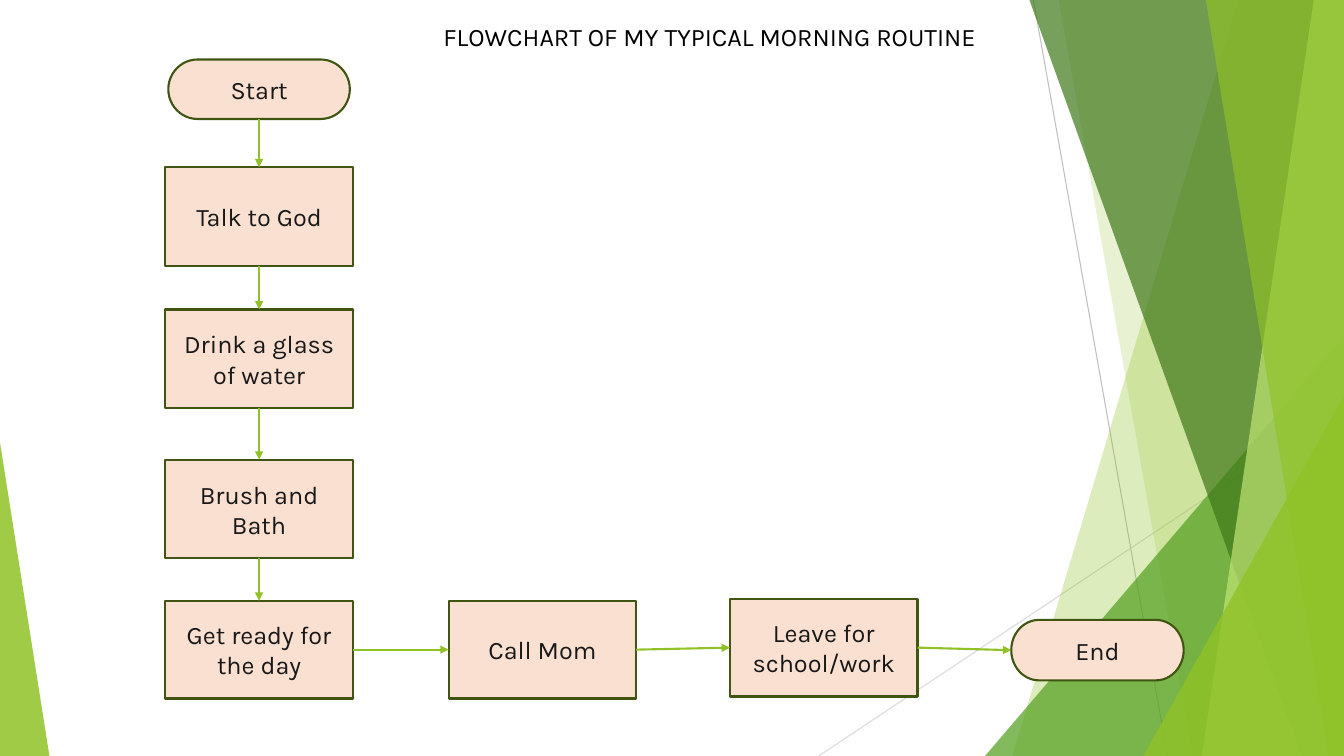
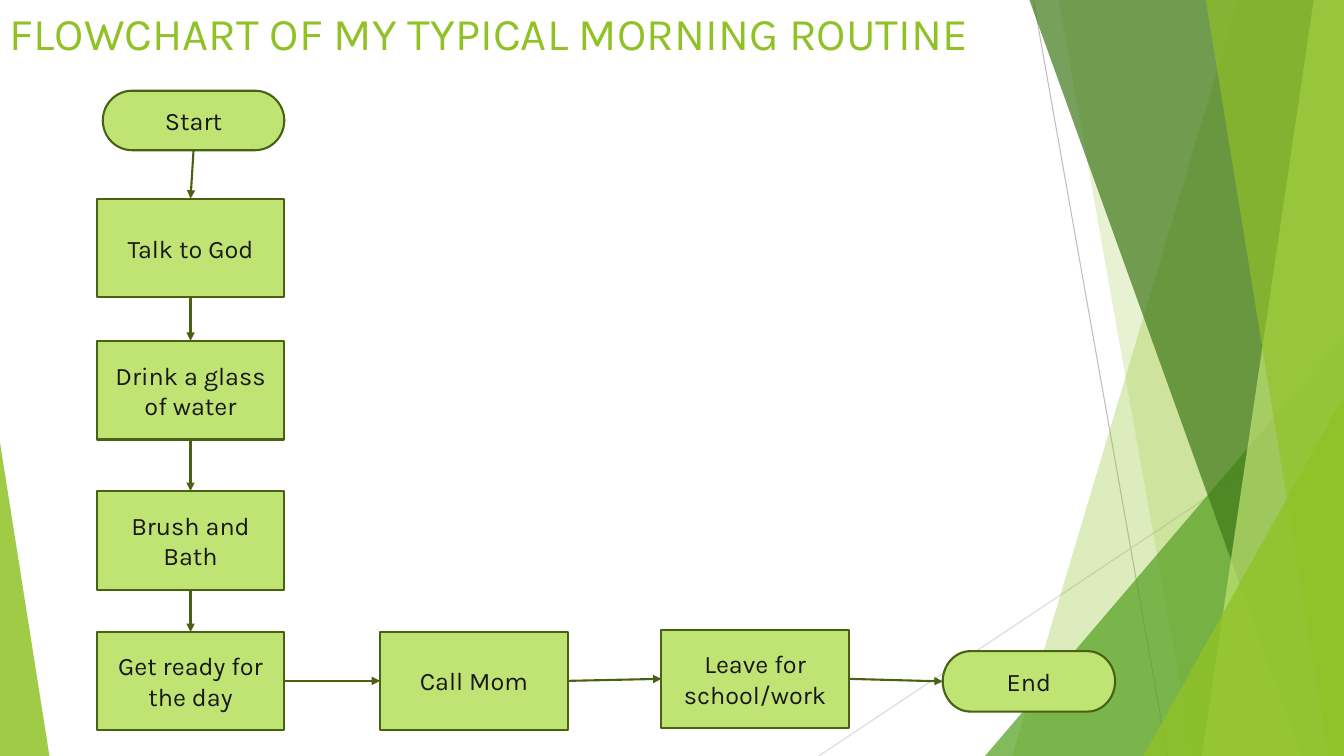
from itertools import pairwise

from lxml.etree import SubElement
from pptx import Presentation
from pptx.dml.color import RGBColor
from pptx.enum.shapes import MSO_CONNECTOR, MSO_SHAPE
from pptx.enum.text import MSO_ANCHOR, PP_ALIGN
from pptx.oxml.ns import qn
from pptx.util import Inches, Pt

# Shared look
WIDTH, HEIGHT = 13.33, 7.5
FONT = "Karla"
COLOURS = {
    "lime": "90C226", "green": "54A021", "forest": "3F7819", "pale": "C0E474",
    "grey": "BFBFBF", "light grey": "D9D9D9", "peach": "FAE0D1",
    "olive": "3F5511", "moss": "486113", "ink": "181818", "black": "000000",
}

# Content
TITLE = "FLOWCHART OF MY TYPICAL MORNING ROUTINE"
PROCESS = MSO_SHAPE.FLOWCHART_PROCESS
TERMINATOR = MSO_SHAPE.FLOWCHART_TERMINATOR
STEPS = [  # label, kind, left, top, width, height
    ("Start", TERMINATOR, 1.67, 0.59, 1.8, 0.59),
    ("Talk to God", PROCESS, 1.64, 1.66, 1.86, 0.98),
    ("Drink a glass of water", PROCESS, 1.64, 3.07, 1.86, 0.98),
    ("Brush and Bath", PROCESS, 1.64, 4.56, 1.86, 0.98),
    ("Get ready for the day", PROCESS, 1.64, 5.96, 1.86, 0.97),
    ("Call Mom", PROCESS, 4.45, 5.96, 1.86, 0.97),
    ("Leave for school/work", PROCESS, 7.24, 5.94, 1.86, 0.97),
    ("End", TERMINATOR, 10.03, 6.15, 1.71, 0.6),
]
SLIDES = [
    {"title_box": (4.3, 0.16, 5.89, 0.4), "title_size": 18, "title_colour": "black",
     "shift": (0, 0), "start_nudge": 0,
     "fill": "peach", "outline": "olive", "arrow": "lime"},
    {"title_box": (0, 0, 9.89, 0.62), "title_size": 32.4, "title_colour": "lime",
     "shift": (-0.68, 0.31), "start_nudge": 0.03,
     "fill": "pale", "outline": "moss", "arrow": "moss"},
]

# Backdrop: thin lines, then facets from back to front
RAYS = [((10.25, 0), (11.58, HEIGHT), "grey"),
        ((WIDTH, 4.03), (8.12, HEIGHT), "light grey")]
FACETS = [  # bands: x at top and bottom of the left edge; triangles: box and apex
    ("band", (12.28, 10.04), "lime", 30),
    ("band", (10.5, 11.83), "lime", 20),
    ("triangle", (9.77, 3.33, 3.56, 4.17, 1), "green", 72),
    ("band", (10.21, 12.91), "forest", 70),
    ("band", (13.03, 11.92), "pale", 70),
    ("band", (11.96, 13.18), "lime", 65),
    ("triangle", (11.34, 3.93, 1.99, 3.57, 1), "lime", 80),
    ("triangle", (0, 4.39, 0.49, 3.11, 0), "lime", 85),
]
BOTTOM, RIGHT, TOP, LEFT = 2, 3, 0, 1  # connection sites


def rgb(name):
    return RGBColor.from_string(COLOURS[name])


def inches(values):
    return [Inches(value) for value in values]


def paint(shape, colour):
    shape.shadow.inherit = False
    shape.fill.solid()
    shape.fill.fore_color.rgb = rgb(colour)


def write(frame, text, size, colour, align):
    frame.word_wrap = True
    paragraph = frame.paragraphs[0]
    paragraph.text = text
    paragraph.alignment = align
    paragraph.font.name = FONT
    paragraph.font.size = Pt(size)
    paragraph.font.color.rgb = rgb(colour)


def add_line(slide, start, end, colour, width):
    line = slide.shapes.add_connector(MSO_CONNECTOR.STRAIGHT, *inches(start + end))
    line.line.color.rgb = rgb(colour)
    line.line.width = Pt(width)
    SubElement(line.element.spPr, qn("a:effectLst"))
    return line


def add_backdrop(slide):
    for start, end, colour in RAYS:
        add_line(slide, start, end, colour, 0.75)
    for kind, geometry, colour, opacity in FACETS:
        if kind == "band":
            top_x, bottom_x = geometry
            outline = slide.shapes.build_freeform(Inches(top_x), 0)
            corners = [(WIDTH, 0), (WIDTH, HEIGHT), (bottom_x, HEIGHT)]
            outline.add_line_segments([inches(corner) for corner in corners])
            facet = outline.convert_to_shape()
        else:
            *box, apex = geometry
            facet = slide.shapes.add_shape(MSO_SHAPE.ISOSCELES_TRIANGLE, *inches(box))
            facet.adjustments[0] = apex
        paint(facet, colour)
        facet.line.fill.background()
        tint = facet.element.spPr.find(qn("a:solidFill")).find(qn("a:srgbClr"))
        SubElement(tint, qn("a:alpha"), val=str(opacity * 1000))


def add_title(slide, look):
    title = slide.shapes.add_textbox(*inches(look["title_box"]))
    write(title.text_frame, TITLE, look["title_size"], look["title_colour"], PP_ALIGN.LEFT)


def add_step(slide, step, look):
    label, kind, left, top, width, height = step
    dx, dy = look["shift"]
    if label == "Start":
        dx += look["start_nudge"]
    box = slide.shapes.add_shape(kind, *inches((left + dx, top + dy, width, height)))
    paint(box, look["fill"])
    box.line.color.rgb = rgb(look["outline"])
    box.line.width = Pt(1.5)
    box.text_frame.vertical_anchor = MSO_ANCHOR.MIDDLE
    write(box.text_frame, label, 18, "ink", PP_ALIGN.CENTER)
    return box


def add_arrow(slide, source, target, colour):
    arrow = add_line(slide, (0, 0), (0, 0), colour, 1.5)
    # Steps in the same column join downwards, the others sideways
    same_column = target.left < source.left + source.width
    leave, enter = (BOTTOM, TOP) if same_column else (RIGHT, LEFT)
    arrow.begin_connect(source, leave)
    arrow.end_connect(target, enter)
    SubElement(arrow.element.spPr.find(qn("a:ln")), qn("a:tailEnd"), type="triangle")


def main():
    deck = Presentation()
    deck.slide_width, deck.slide_height = inches((WIDTH, HEIGHT))
    for look in SLIDES:
        slide = deck.slides.add_slide(deck.slide_layouts[6])
        add_backdrop(slide)
        add_title(slide, look)
        boxes = [add_step(slide, step, look) for step in STEPS]
        for source, target in pairwise(boxes):
            add_arrow(slide, source, target, look["arrow"])
    deck.save("out.pptx")


if __name__ == "__main__":
    main()
